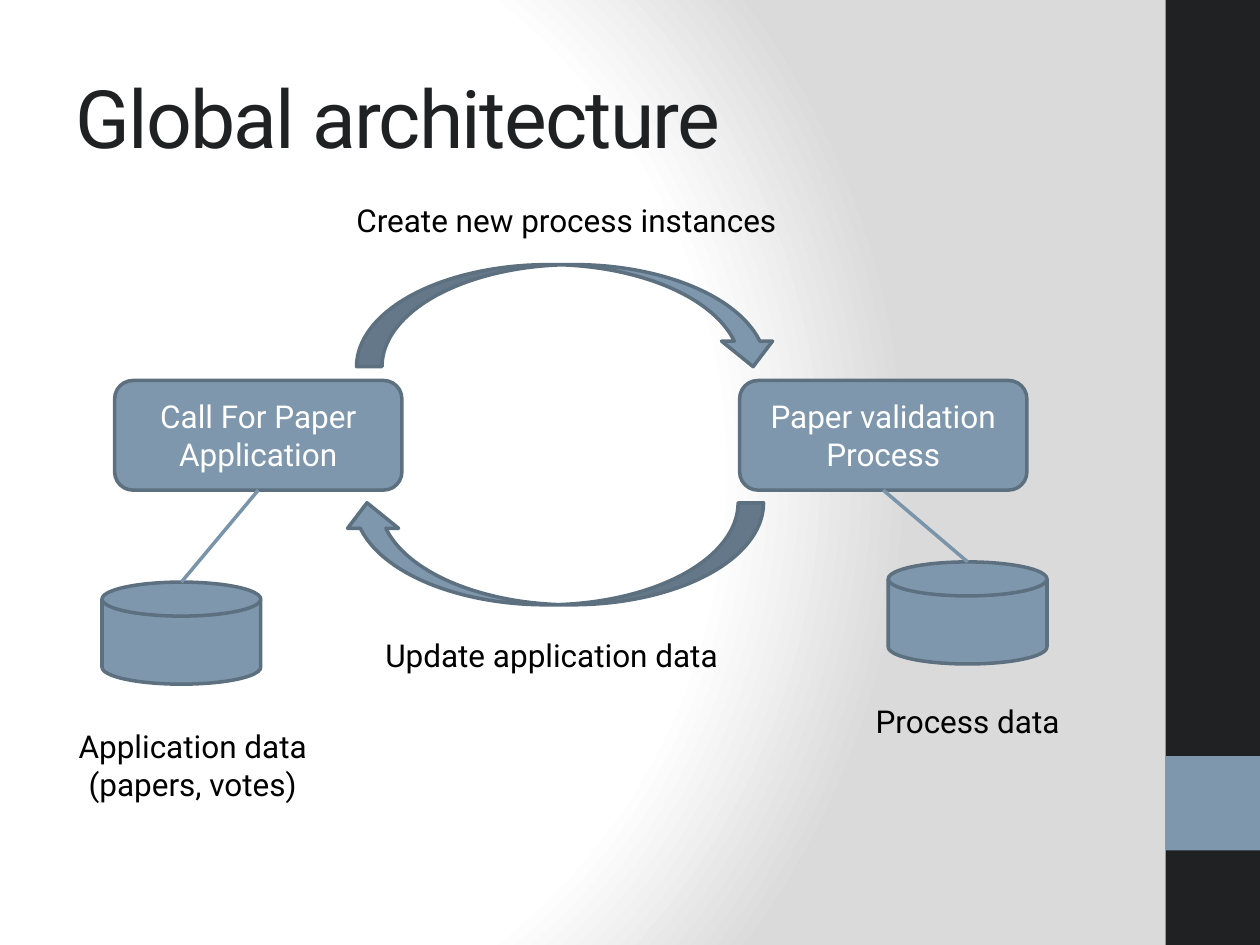
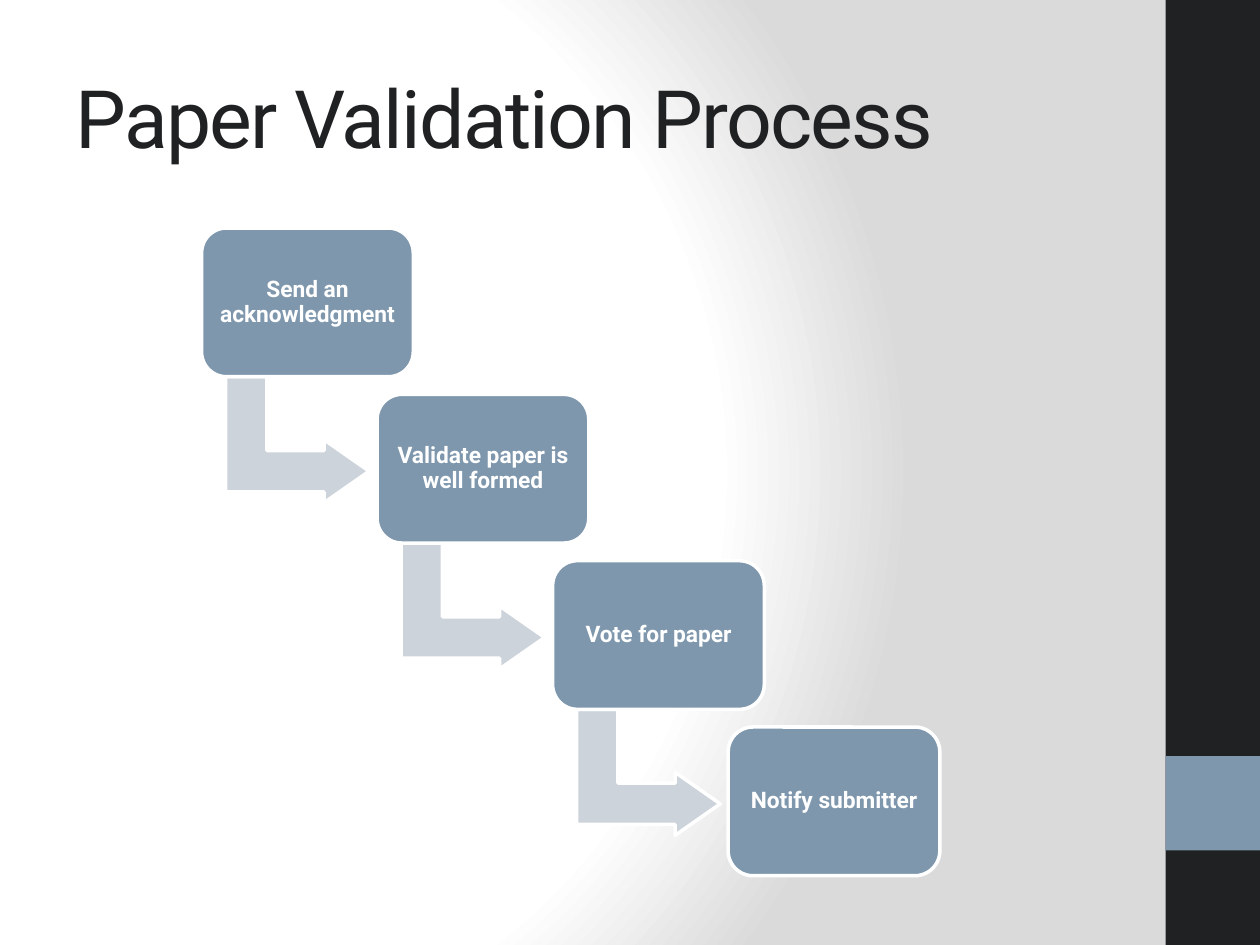
from dataclasses import dataclass

from lxml import etree
from pptx import Presentation, util as u
from pptx.dml.color import RGBColor
from pptx.enum import shapes, text
from pptx.oxml.ns import qn

PX = 9144
TITLE_ONLY = 5
KIND = shapes.MSO_SHAPE
CENTER, LEFT = text.PP_ALIGN.CENTER, text.PP_ALIGN.LEFT


@dataclass(frozen=True)
class Theme:
    font: str = "Roboto"
    dark: str = "1F2123"
    accent: str = "7E97AD"
    edge: str = "5D7080"
    link: str = "7A94AA"
    pale: str = "CCD3DB"
    white: str = "FFFFFF"
    black: str = "000000"
    shade: str = "DADADA"
    title_size: int = 46
    body_size: int = 18
    step_size: int = 13
    stroke: int = 2


THEME = Theme()

PAGE = (1000, 750)
TITLE_AREA = (50, 30, 833, 125)
SIDE_BANDS = [((925, 0, 75, 750), THEME.dark), ((925, 600, 75, 75), THEME.accent)]
GLOW_STOPS = [(0, THEME.white), (75, THEME.white), (100, THEME.shade)]
GLOW_CENTRE = {"l": 20, "t": 50, "r": 100, "b": 50}

SYSTEMS = [
    {"label": "Call For Paper Application", "box": (91, 302), "store": (81, 462)},
    {"label": "Paper validation Process", "box": (587, 302), "store": (705, 446)},
]
SYSTEM_SIZE = (228, 87)
STORE_SIZE = (126, 81)
EXCHANGES = [((283, 210, 335, 81), 0), ((271, 399, 335, 81), 180)]
CAPTIONS = [
    (["Application data", "(papers, votes)"], (35, 572, 236, 71), CENTER),
    (["Process data"], (650, 552, 236, 40), CENTER),
    (["Create new process instances"], (273, 155, 354, 40), LEFT),
    (["Update application data"], (296, 500, 294, 40), LEFT),
]

STEPS = ["Send an acknowledgment", "Validate paper is well formed",
         "Vote for paper", "Notify submitter"]
FIRST_STEP = (160, 181)
STEP_PITCH = (139.3, 132)
STEP_SIZE = (168, 118)
STEP_INSET = 5
TURN_OFFSET = (26, 111)
TURN_SIZE = (100, 114)
TURN_SHAPE = (0.328, 0.25, 0.358)


def emu(lengths):
    return [u.Emu(round(length * PX)) for length in lengths]


def rgb(code):
    return RGBColor.from_string(code)


def write(frame, lines, size, color, align, bold=False, spacing=None):
    frame.text = "\n".join(lines)
    for paragraph in frame.paragraphs:
        paragraph.alignment = align
        paragraph.line_spacing = spacing
        paragraph.font.name = THEME.font
        paragraph.font.size = u.Pt(size)
        paragraph.font.bold = bold
        paragraph.font.color.rgb = rgb(color)


def draw(slide, kind, area, fill, edge=None, turn=0, adjust=()):
    part = slide.shapes.add_shape(kind, *emu(area))
    part.shadow.inherit = False
    part.fill.solid()
    part.fill.fore_color.rgb = rgb(fill)
    if edge:
        part.line.color.rgb = rgb(edge)
        part.line.width = u.Pt(THEME.stroke)
    else:
        part.line.fill.background()
    part.rotation = turn
    for index, value in enumerate(adjust):
        part.adjustments[index] = value
    return part


def link(slide, start, end):
    line = slide.shapes.add_connector(shapes.MSO_CONNECTOR.STRAIGHT, *emu(start + end))
    line.line.color.rgb = rgb(THEME.link)
    line.line.width = u.Pt(THEME.stroke)
    etree.SubElement(line._element.spPr, qn("a:effectLst"))


def caption(slide, lines, area, align):
    frame = slide.shapes.add_textbox(*emu(area)).text_frame
    frame.word_wrap = align == CENTER
    write(frame, lines, THEME.body_size, THEME.black, align)


def paint_background(master):
    master.background.fill.gradient()
    glow = master.element.find(".//" + qn("p:bgPr")).find(qn("a:gradFill"))
    for child in list(glow):
        glow.remove(child)
    stops = etree.SubElement(glow, qn("a:gsLst"))
    for position, color in GLOW_STOPS:
        stop = etree.SubElement(stops, qn("a:gs"), pos=str(position * 1000))
        etree.SubElement(stop, qn("a:srgbClr"), val=color)
    circle = etree.SubElement(glow, qn("a:path"), path="circle")
    etree.SubElement(circle, qn("a:fillToRect"),
                     {side: str(share * 1000) for side, share in GLOW_CENTRE.items()})


def start_slide(deck, heading):
    slide = deck.slides.add_slide(deck.slide_layouts[TITLE_ONLY])
    title = slide.shapes.title
    title.left, title.top, title.width, title.height = emu(TITLE_AREA)
    write(title.text_frame, [heading], THEME.title_size, THEME.dark, LEFT)
    title.text_frame.vertical_anchor = text.MSO_ANCHOR.MIDDLE
    title.text_frame.paragraphs[0].runs[0].font._element.set("spc", "-100")
    for area, color in SIDE_BANDS:
        draw(slide, KIND.RECTANGLE, area, color)
    return slide


def build_architecture(deck):
    slide = start_slide(deck, "Global architecture")
    for system in SYSTEMS:
        (x, y), (store_x, store_y) = system["box"], system["store"]
        width, height = SYSTEM_SIZE
        draw(slide, KIND.FLOWCHART_MAGNETIC_DISK, system["store"] + STORE_SIZE,
             THEME.accent, THEME.edge)
        box = draw(slide, KIND.ROUNDED_RECTANGLE, system["box"] + SYSTEM_SIZE,
                   THEME.accent, THEME.edge)
        write(box.text_frame, [system["label"]], THEME.body_size, THEME.white, CENTER)
        link(slide, (x + width / 2, y + height), (store_x + STORE_SIZE[0] / 2, store_y))
    for area, turn in EXCHANGES:
        draw(slide, KIND.CURVED_DOWN_ARROW, area, THEME.accent, THEME.edge, turn)
    for lines, area, align in CAPTIONS:
        caption(slide, lines, area, align)


def build_process(deck):
    slide = start_slide(deck, "Paper Validation Process")
    for index, step in enumerate(STEPS):
        x, y = (first + index * pitch for first, pitch in zip(FIRST_STEP, STEP_PITCH))
        if index < len(STEPS) - 1:
            corner = (x + TURN_OFFSET[0], y + TURN_OFFSET[1])
            draw(slide, KIND.BENT_UP_ARROW, corner + TURN_SIZE, THEME.pale,
                 THEME.white, 90, TURN_SHAPE)
        box = draw(slide, KIND.ROUNDED_RECTANGLE, (x, y) + STEP_SIZE, THEME.accent,
                   THEME.white)
        frame = box.text_frame
        frame.margin_left = frame.margin_right = u.Emu(STEP_INSET * PX)
        frame.margin_top = frame.margin_bottom = u.Emu(STEP_INSET * PX)
        write(frame, [step], THEME.step_size, THEME.white, CENTER, True, 0.9)


def main():
    deck = Presentation()
    deck.slide_width, deck.slide_height = emu(PAGE)
    paint_background(deck.slide_master)
    build_architecture(deck)
    build_process(deck)
    deck.save("out.pptx")


if __name__ == "__main__":
    main()
